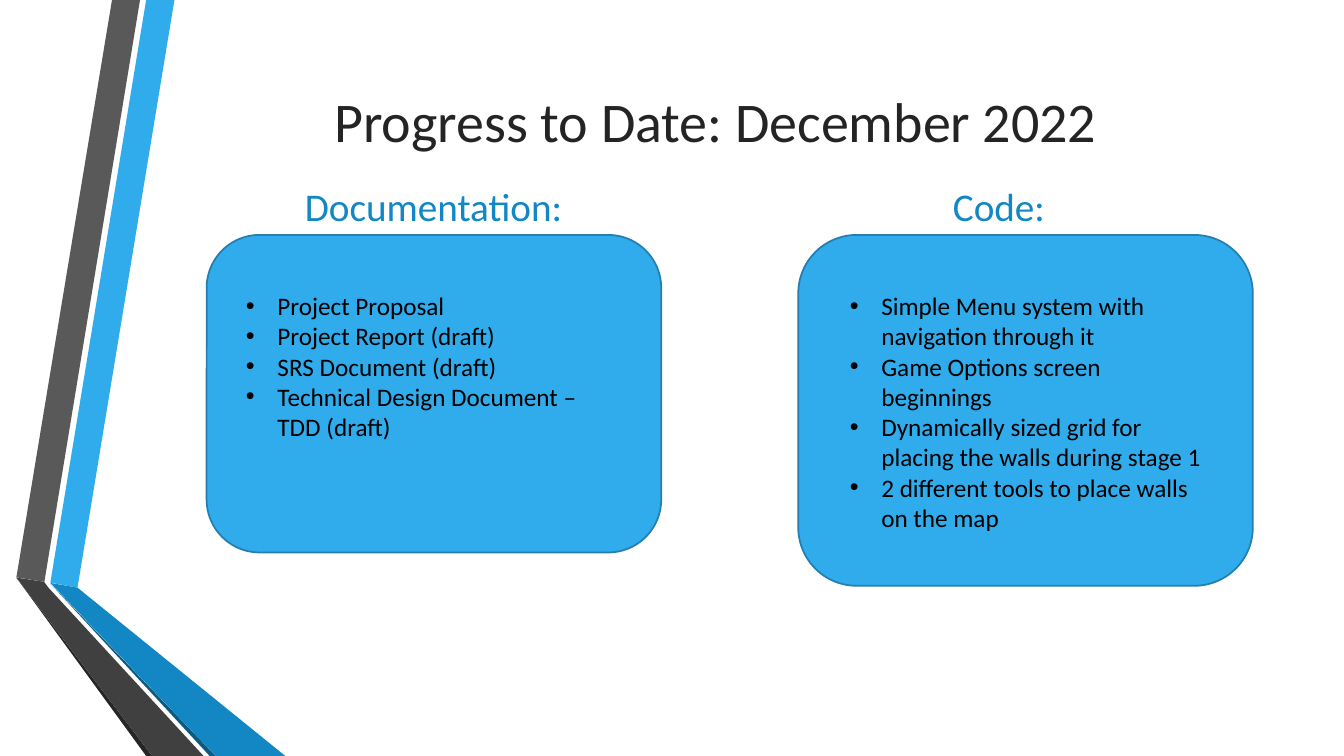
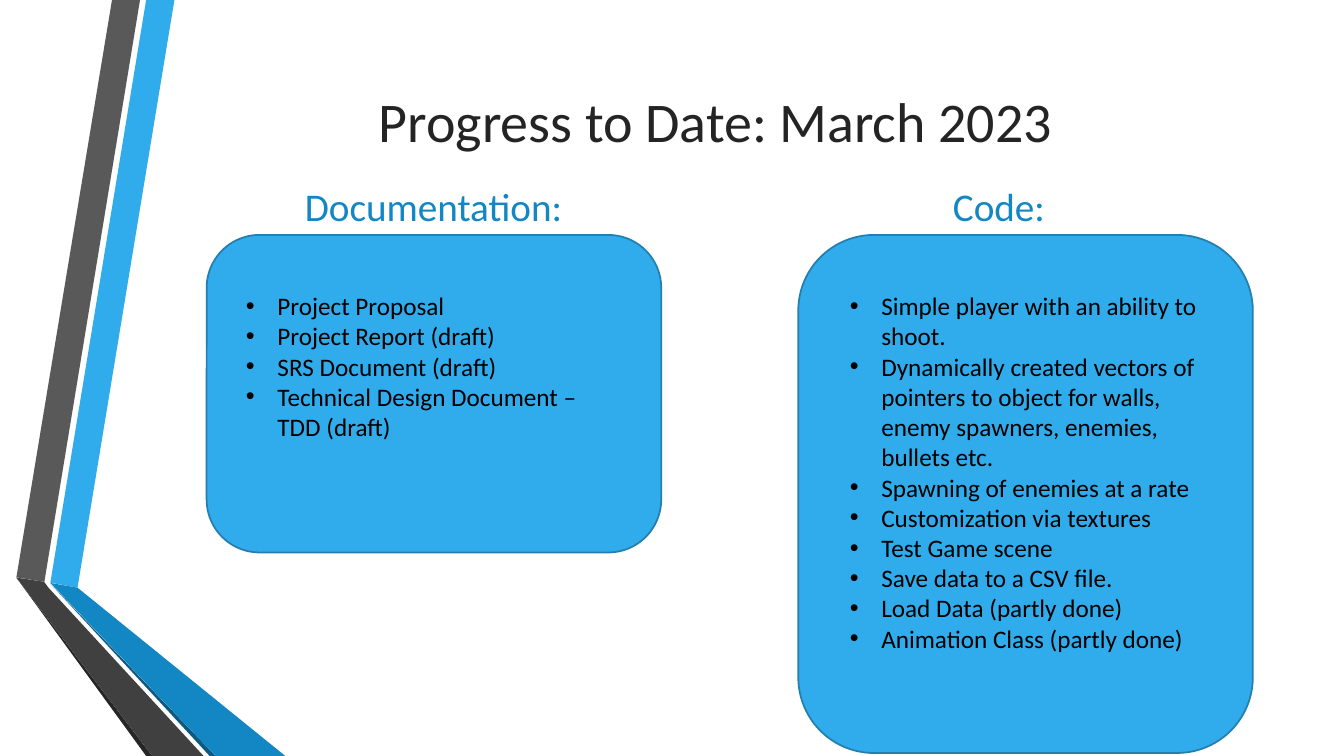
from pptx import Presentation
from pptx.dml.color import RGBColor
from pptx.enum import shapes, text
from pptx.util import Pt

SKY = RGBColor(0x30, 0xAC, 0xEC)
BLUE = RGBColor(0x12, 0x87, 0xC3)
NAVY = RGBColor(0x0C, 0x5A, 0x82)
EDGE = RGBColor(0x24, 0x7F, 0xAF)
GREY = RGBColor(0x59, 0x59, 0x59)
DARK_GREY = RGBColor(0x40, 0x40, 0x40)
CHARCOAL = RGBColor(0x26, 0x26, 0x26)
TITLE_INK = RGBColor(0x24, 0x24, 0x24)
BLACK = RGBColor(0, 0, 0)
FONT = "Calibri"

# Folded ribbons down the left edge: colour and corners in points
RIBBONS = [
    (SKY, [(36, 416.2), (55.4, 419.8), (124.6, 0), (104.4, 0)]),
    (GREY, [(100, 0), (80, 0), (11.7, 412.4), (31.7, 415.6)]),
    (CHARCOAL, [(11.7, 412.6), (104.4, 540), (108.7, 540)]),
    (NAVY, [(36, 416.9), (149.8, 540), (154.1, 540)]),
    (BLUE, [(36, 416.4), (154.1, 540), (203.8, 540), (55.4, 419.8)]),
    (DARK_GREY, [(145.4, 540), (34.6, 419.8), (31.5, 415.6), (11.7, 412.6),
                 (108.7, 540)]),
]

# Columns: heading, placeholder indexes, left and width of heading, card, list
COLUMNS = [
    ("Documentation:", 1, 2, (128.2, 362.9), (147.6, 324.7), (168.5, 283)),
    ("Code:", 3, 4, (531.4, 364.3), (570.2, 324.7), (599.8, 270)),
]
TITLE_TOP, HEADING_TOP, CARD_TOP, LIST_TOP = 54, 122.4, 167.8, 203.8
BULLET_INDENT = Pt(22.5)

# Each column's content: card height, list height, items
DOCUMENTS = (226.8, 116.6, [
    "Project Proposal",
    "Project Report (draft)",
    "SRS Document (draft)",
    "Technical Design Document – TDD (draft)",
])
SLIDES = [
    ("Progress to Date: December 2022", [DOCUMENTS, (250.6, 181.4, [
        "Simple Menu system with navigation through it",
        "Game Options screen beginnings",
        "Dynamically sized grid for placing the walls during stage 1",
        "2 different tools to place walls on the map",
    ])]),
    ("Progress to Date: March 2023", [DOCUMENTS, (370.1, 290.9, [
        "Simple player with an ability to shoot.",
        "Dynamically created vectors of pointers to object for walls, "
        "enemy spawners, enemies, bullets etc.",
        "Spawning of enemies at a rate",
        "Customization via textures",
        "Test Game scene",
        "Save data to a CSV file.",
        "Load Data (partly done)",
        "Animation Class (partly done)",
    ])]),
]


def fill_box(box, place, lines, size, color, anchor, align):
    """Place a placeholder in front, set its lines and format them."""
    box.left, box.top, box.width, box.height = map(Pt, place)
    box.element.getparent().append(box.element)
    frame = box.text_frame
    frame.text = "\n".join(lines)
    frame.word_wrap = True
    frame.auto_size = text.MSO_AUTO_SIZE.NONE
    frame.vertical_anchor = anchor
    for para in frame.paragraphs:
        para.alignment = align
        for span in para.runs:
            span.font.name = FONT
            span.font.size = Pt(size)
            span.font.bold = False
            span.font.color.rgb = color
    return frame


deck = Presentation()
deck.slide_width, deck.slide_height = Pt(960), Pt(540)
comparison = deck.slide_layouts.get_by_name("Comparison")

for title, contents in SLIDES:
    page = deck.slides.add_slide(comparison)

    # Ribbons
    for color, corners in RIBBONS:
        start, *rest = [(Pt(x), Pt(y)) for x, y in corners]
        outline = page.shapes.build_freeform(*start)
        outline.add_line_segments(rest, close=True)
        ribbon = outline.convert_to_shape()
        ribbon.shadow.inherit = False
        ribbon.fill.solid()
        ribbon.fill.fore_color.rgb = color
        ribbon.line.fill.background()

    # Title
    fill_box(page.shapes.title, (116.6, TITLE_TOP, 789.1, 64.1), [title], 40,
             TITLE_INK, text.MSO_ANCHOR.MIDDLE, text.PP_ALIGN.CENTER)

    # Columns: heading, rounded card, bulleted list
    for column, (card_height, list_height, items) in zip(COLUMNS, contents):
        heading, heading_idx, list_idx, heading_x, card_x, list_x = column
        left, width = heading_x
        frame = fill_box(page.placeholders[heading_idx],
                         (left, HEADING_TOP, width, 45.4), [heading], 28, BLUE,
                         text.MSO_ANCHOR.BOTTOM, text.PP_ALIGN.CENTER)
        frame.paragraphs[0].space_after = Pt(6)

        left, width = card_x
        card = page.shapes.add_shape(
            shapes.MSO_SHAPE.ROUNDED_RECTANGLE,
            Pt(left), Pt(CARD_TOP), Pt(width), Pt(card_height))
        card.shadow.inherit = False
        card.fill.solid()
        card.fill.fore_color.rgb = SKY
        card.line.color.rgb = EDGE
        card.line.width = Pt(1.25)

        left, width = list_x
        frame = fill_box(page.placeholders[list_idx],
                         (left, LIST_TOP, width, list_height), items, 18, BLACK,
                         text.MSO_ANCHOR.TOP, text.PP_ALIGN.LEFT)
        for para in frame.paragraphs:
            para.space_before = Pt(0)
            props = para._p.get_or_add_pPr()
            props.set("marL", str(BULLET_INDENT))
            props.set("indent", str(-BULLET_INDENT))

deck.save("out.pptx")
